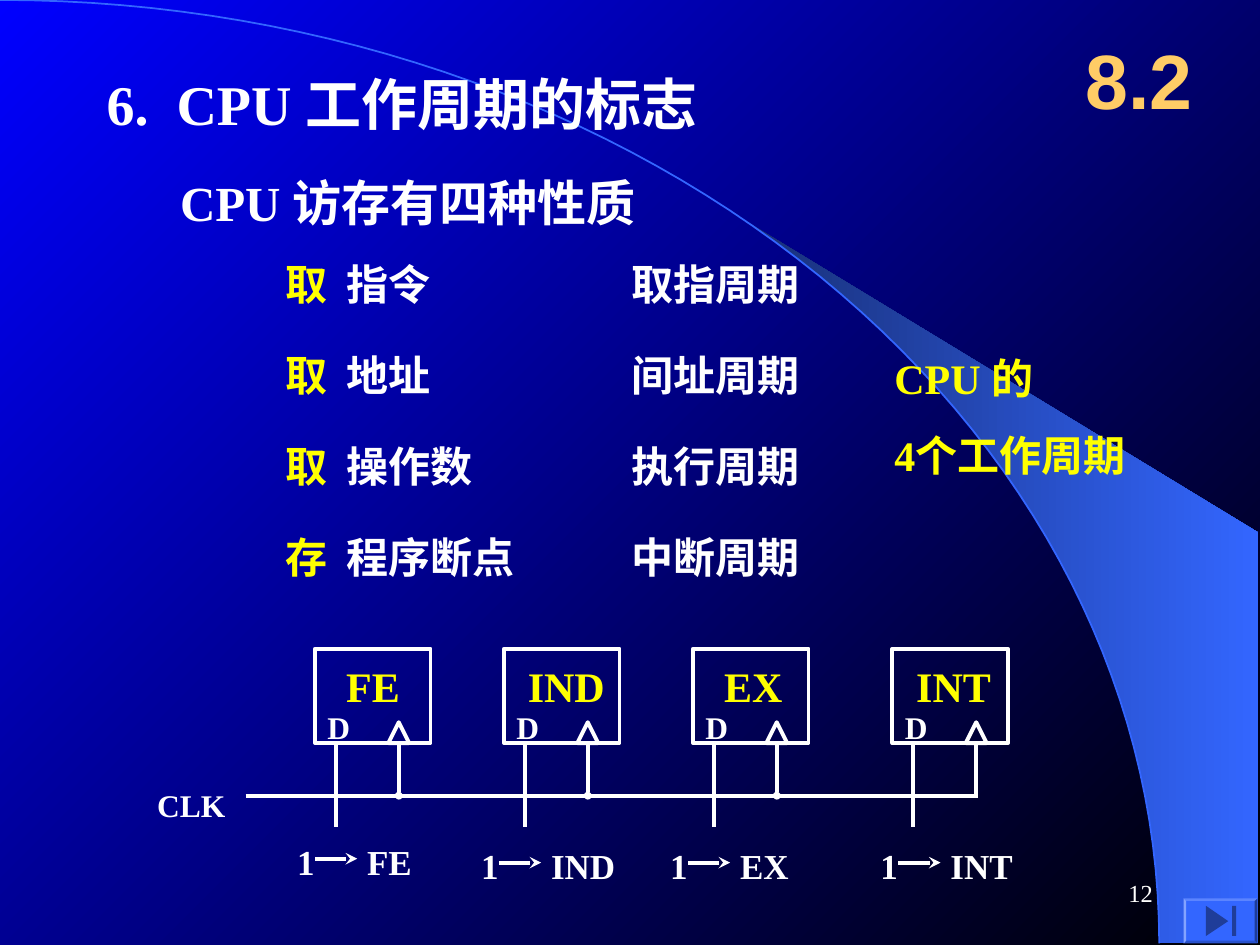
from dataclasses import dataclass
from math import asin, cos, pi, sin
from typing import Optional

from pptx import Presentation
from pptx.dml.color import RGBColor
from pptx.dml.fill import FillFormat
from pptx.enum.shapes import MSO_CONNECTOR, MSO_SHAPE
from pptx.enum.text import MSO_ANCHOR, PP_ALIGN
from pptx.oxml.ns import qn
from pptx.shapes.autoshape import Shape
from pptx.shapes.shapetree import SlideShapes
from pptx.util import Cm, Pt
from lxml.etree import SubElement

COLORS = {
    "white": "FFFFFF", "yellow": "FFFF00", "gold": "FFCC66", "blue": "0000FF",
    "black": "000000", "sky": "3366FF", "navy": "182F76", "icon": "1F3D99",
}
SERIF = "Times New Roman"
ARC_WIDTH, ARC_HEIGHT = 23.37, 19.02
BOX_TOP, BOX_BOTTOM, CLOCK_Y = 13.08, 14.98, 16.04


@dataclass(frozen=True)
class Run:
    text: str
    size: float
    color: str = "white"
    font: str = SERIF
    bold: bool = True


@dataclass(frozen=True)
class Access:
    verb: str
    target: str
    cycle: str


@dataclass(frozen=True)
class FlipFlop:
    name: str
    left: float
    name_offset: float
    set_left: float
    set_top: float
    clock_tail: Optional[str] = "oval"


ACCESSES = [
    Access("取", "指令", "取指周期"),
    Access("取", "地址", "间址周期"),
    Access("取", "操作数", "执行周期"),
    Access("存", "程序断点", "中断周期"),
]
FLIP_FLOPS = [
    FlipFlop("FE", 6.35, 0.38, 5.74, 16.82),
    FlipFlop("IND", 10.16, 0.23, 9.45, 16.9),
    FlipFlop("EX", 13.97, 0.38, 13.26, 16.9),
    FlipFlop("INT", 17.99, 0.23, 17.5, 16.9, None),
]


def rgb(name: str) -> RGBColor:
    return RGBColor.from_string(COLORS[name])


def set_gradient(fill: FillFormat, start: str, end: str, angle: float) -> None:
    fill.gradient()
    fill.gradient_angle = angle
    for stop, color in zip(fill.gradient_stops, (start, end)):
        stop.color.rgb = rgb(color)


def add_text(shapes: SlideShapes, left: float, top: float, width: float, height: float,
             *paragraphs: list[Run], align: PP_ALIGN = PP_ALIGN.LEFT,
             anchor: MSO_ANCHOR = MSO_ANCHOR.TOP, tab: Optional[float] = None) -> None:
    frame = shapes.add_textbox(Cm(left), Cm(top), Cm(width), Cm(height)).text_frame
    frame.word_wrap = True
    frame.vertical_anchor = anchor
    for index, runs in enumerate(paragraphs):
        paragraph = frame.add_paragraph() if index else frame.paragraphs[0]
        paragraph.alignment = align
        if index:
            paragraph.space_before = Pt(15)
        if tab is not None:
            tabs = SubElement(paragraph._p.get_or_add_pPr(), qn("a:tabLst"))
            SubElement(tabs, qn("a:tab"), pos=str(Cm(tab)), algn="l")
        for item in runs:
            run = paragraph.add_run()
            run.text = item.text
            run.font.size = Pt(item.size)
            run.font.name = item.font
            run.font.bold = item.bold
            run.font.color.rgb = rgb(item.color)


def add_wire(shapes: SlideShapes, x1: float, y1: float, x2: float, y2: float,
             tail: Optional[str] = None, tail_size: str = "med") -> None:
    wire = shapes.add_connector(MSO_CONNECTOR.STRAIGHT, Cm(x1), Cm(y1), Cm(x2), Cm(y2))
    wire.line.width = Pt(2.25)
    wire.line.color.rgb = rgb("white")
    properties = wire.element.spPr
    if tail:
        SubElement(properties.find(qn("a:ln")), qn("a:tailEnd"),
                   type=tail, w=tail_size, len=tail_size)
    SubElement(properties, qn("a:effectLst"))


def outline(shape: Shape, color: str, width: float) -> None:
    shape.shadow.inherit = False
    shape.fill.background()
    shape.line.color.rgb = rgb(color)
    shape.line.width = Pt(width)


def paint(shape: Shape, color: str) -> None:
    shape.shadow.inherit = False
    shape.fill.solid()
    shape.fill.fore_color.rgb = rgb(color)
    shape.line.fill.background()


def arc_points(start: float, steps: int) -> list[tuple[float, float]]:
    angles = [start + (pi / 2 - start) * step / steps for step in range(steps + 1)]
    return [(ARC_WIDTH * sin(angle), ARC_HEIGHT * (1 - cos(angle))) for angle in angles]


def add_outline(shapes: SlideShapes, points: list[tuple[float, float]], close: bool) -> Shape:
    first, *rest = [(Cm(x), Cm(y)) for x, y in points]
    builder = shapes.build_freeform(*first)
    builder.add_line_segments(rest, close=close)
    return builder.convert_to_shape()


def add_backdrop(shapes: SlideShapes) -> None:
    tip = asin(14.96 / ARC_WIDTH)
    wing = add_outline(shapes, arc_points(tip, 30) + [(25.37, 19.02), (25.37, 10.74)], True)
    wing.shadow.inherit = False
    set_gradient(wing.fill, "navy", "sky", 0)
    wing.line.fill.background()
    outline(add_outline(shapes, arc_points(0, 60), False), "sky", 1)


def add_flip_flop(shapes: SlideShapes, flop: FlipFlop) -> None:
    add_text(shapes, flop.left + flop.name_offset, 13.2, 2.4, 1.27,
             [Run(flop.name, 24, "yellow")])
    add_text(shapes, flop.left, 14.15, 1.2, 1.02, [Run("D", 18)])
    body = shapes.add_shape(MSO_SHAPE.RECTANGLE, Cm(flop.left), Cm(BOX_TOP),
                            Cm(2.33), Cm(BOX_BOTTOM - BOX_TOP))
    clock_input = shapes.add_shape(MSO_SHAPE.ISOSCELES_TRIANGLE, Cm(flop.left + 1.48),
                                   Cm(BOX_BOTTOM - 0.42), Cm(0.42), Cm(0.42))
    for part in (body, clock_input):
        outline(part, "white", 2.25)
    data_x, clock_x = flop.left + 0.42, flop.left + 1.69
    add_wire(shapes, data_x, BOX_BOTTOM, data_x, 16.68)
    add_wire(shapes, clock_x, BOX_BOTTOM, clock_x, CLOCK_Y, flop.clock_tail, "sm")

    arrow_y = flop.set_top + 0.49
    add_wire(shapes, flop.set_left + 0.61, arrow_y, flop.set_left + 1.46, arrow_y, "stealth")
    add_text(shapes, flop.set_left, flop.set_top, 1, 1.12, [Run("1", 20)])
    add_text(shapes, flop.set_left + 1.41, flop.set_top, 2.2, 1.12, [Run(flop.name, 20)])


def add_end_button(shapes: SlideShapes) -> None:
    button = shapes.add_shape(MSO_SHAPE.BEVEL, Cm(23.86), Cm(18.11), Cm(1.49), Cm(0.91))
    button.adjustments[0] = 0.06
    paint(button, "sky")
    paint(add_outline(shapes, [(24.31, 18.26), (24.76, 18.57), (24.31, 18.87)], True), "icon")
    paint(shapes.add_shape(MSO_SHAPE.RECTANGLE, Cm(24.84), Cm(18.26), Cm(0.08), Cm(0.61)), "icon")


def main() -> None:
    """Build the slide on the CPU work cycle flags."""
    deck = Presentation()
    deck.slide_width, deck.slide_height = Cm(25.4), Cm(19.05)
    slide = deck.slides.add_slide(deck.slide_layouts[6])
    set_gradient(slide.background.fill, "blue", "black", 315)
    shapes = slide.shapes
    add_backdrop(shapes)

    add_text(shapes, 1.9, 1.27, 15.88, 1.63, [Run("6.\tCPU 工作周期的标志", 32)], tab=1.41)
    add_text(shapes, 3.38, 3.35, 14.81, 1.45, [Run("CPU 访存有四种性质", 28)])
    for row, access in enumerate(ACCESSES):
        top = 5.08 + 1.84 * row
        add_text(shapes, 5.5, top, 6.15, 1.27,
                 [Run(access.verb, 24, "yellow"), Run("\t" + access.target, 24)], tab=1.24)
        add_text(shapes, 12.48, top, 6.15, 1.27, [Run(access.cycle, 24)])
    add_text(shapes, 17.78, 6.98, 7.4, 2.82,
             [Run("CPU 的", 24, "yellow")], [Run("4个工作周期", 24, "yellow")])

    for flop in FLIP_FLOPS:
        add_flip_flop(shapes, flop)
    add_wire(shapes, 4.95, CLOCK_Y, 19.71, CLOCK_Y)
    add_text(shapes, 2.92, 15.72, 2.1, 1.02, [Run("CLK", 18)])

    add_text(shapes, 21.38, 0.42, 3.18, 2.33, [Run("8.2", 44, "gold", "Arial")],
             align=PP_ALIGN.CENTER, anchor=MSO_ANCHOR.MIDDLE)
    add_end_button(shapes)
    add_text(shapes, 18.2, 17.36, 5.29, 1.27, [Run("12", 14, bold=False)],
             align=PP_ALIGN.RIGHT, anchor=MSO_ANCHOR.MIDDLE)
    deck.save("out.pptx")


if __name__ == "__main__":
    main()
